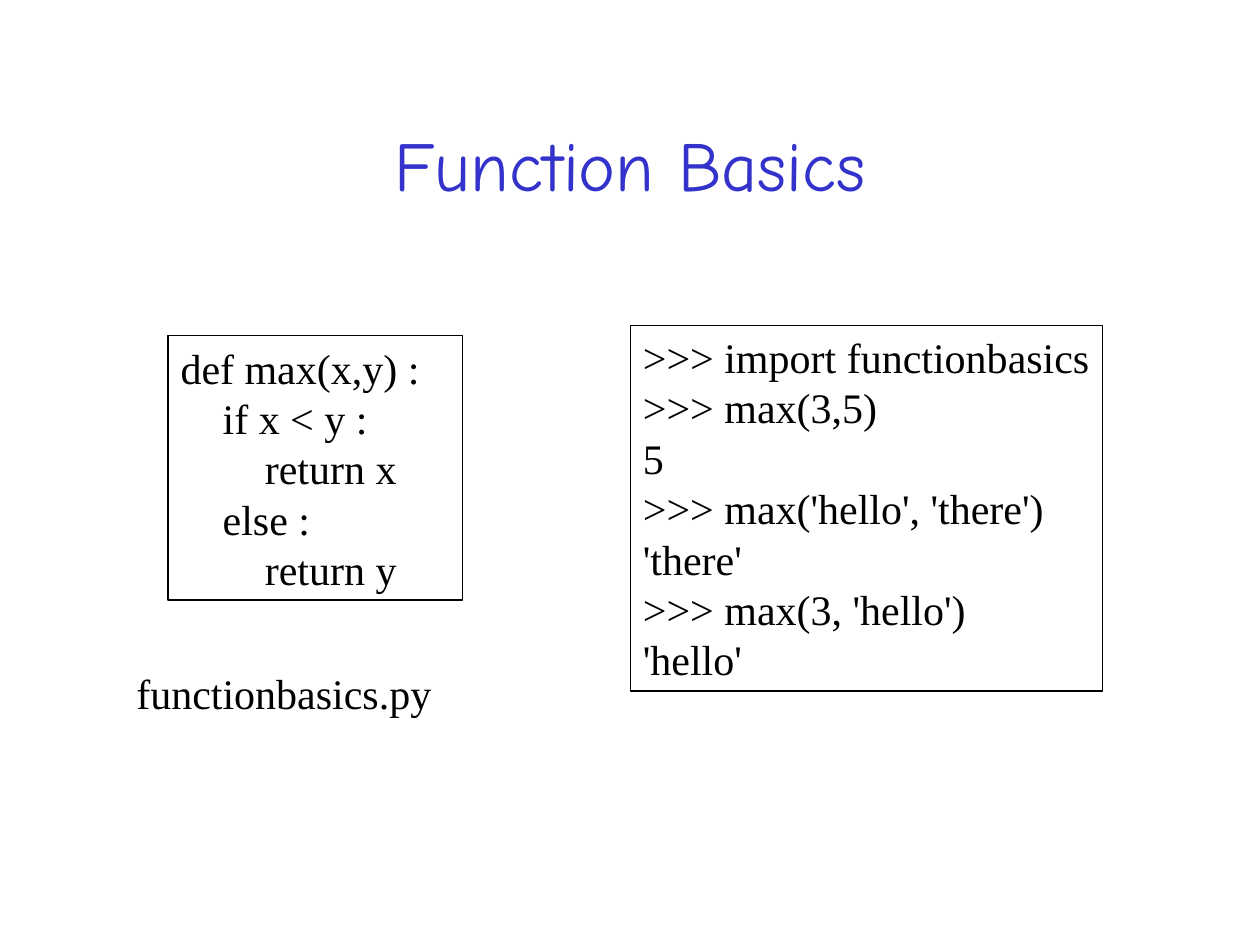
"""Build the Function Basics slide: a small function and a session that calls it."""
from pptx import Presentation
from pptx.dml.color import RGBColor
from pptx.enum.text import MSO_ANCHOR, PP_ALIGN
from pptx.util import Cm, Pt

COLORS = {"title": "3333CC", "text": "000000", "border": "000000"}
INDENT = Cm(0.85)

deck = Presentation()
deck.slide_width, deck.slide_height = Cm(25.4), Cm(19.05)
slide = deck.slides.add_slide(deck.slide_layouts[6])


def add_text(lines, left, top, width, height, font="Times New Roman", size=24,
             color="text", align=PP_ALIGN.LEFT, anchor=MSO_ANCHOR.TOP,
             spacing=Pt(28.8), wrap=True, border=False):
    box = slide.shapes.add_textbox(Cm(left), Cm(top), Cm(width), Cm(height))
    if border:
        box.line.color.rgb = RGBColor.from_string(COLORS["border"])
        box.line.width = Pt(0.75)
    frame = box.text_frame
    frame.word_wrap = wrap
    frame.vertical_anchor = anchor
    for number, (level, text) in enumerate(lines):
        paragraph = frame.add_paragraph() if number else frame.paragraphs[0]
        paragraph.alignment = align
        paragraph.line_spacing = spacing
        if level:
            paragraph._p.get_or_add_pPr().set("marL", str(level * INDENT))
        run = paragraph.add_run()
        run.text = text
        run.font.name = font
        run.font.size = Pt(size)
        run.font.color.rgb = RGBColor.from_string(COLORS[color])


add_text([(0, "Function Basics")], 1.9, 1.7, 21.6, 3.18, font="Comic Neue", size=40,
         color="title", align=PP_ALIGN.CENTER, anchor=MSO_ANCHOR.MIDDLE, spacing=1.0)

function_code = [
    (0, "def max(x,y) :"),
    (1, "if x < y :"),
    (2, "return x"),
    (1, "else :"),
    (2, "return y"),
]
add_text(function_code, 3.39, 6.77, 5.93, 5.33, border=True)

session = [
    ">>> import functionbasics",
    ">>> max(3,5)",
    "5",
    ">>> max('hello', 'there')",
    "'there'",
    ">>> max(3, 'hello')",
    "'hello'",
]
add_text([(0, entry) for entry in session], 12.71, 6.56, 9.51, 7.37, wrap=False, border=True)

add_text([(0, "functionbasics.py")], 2.5, 13.34, 7.4, 1.27)

deck.save("out.pptx")
